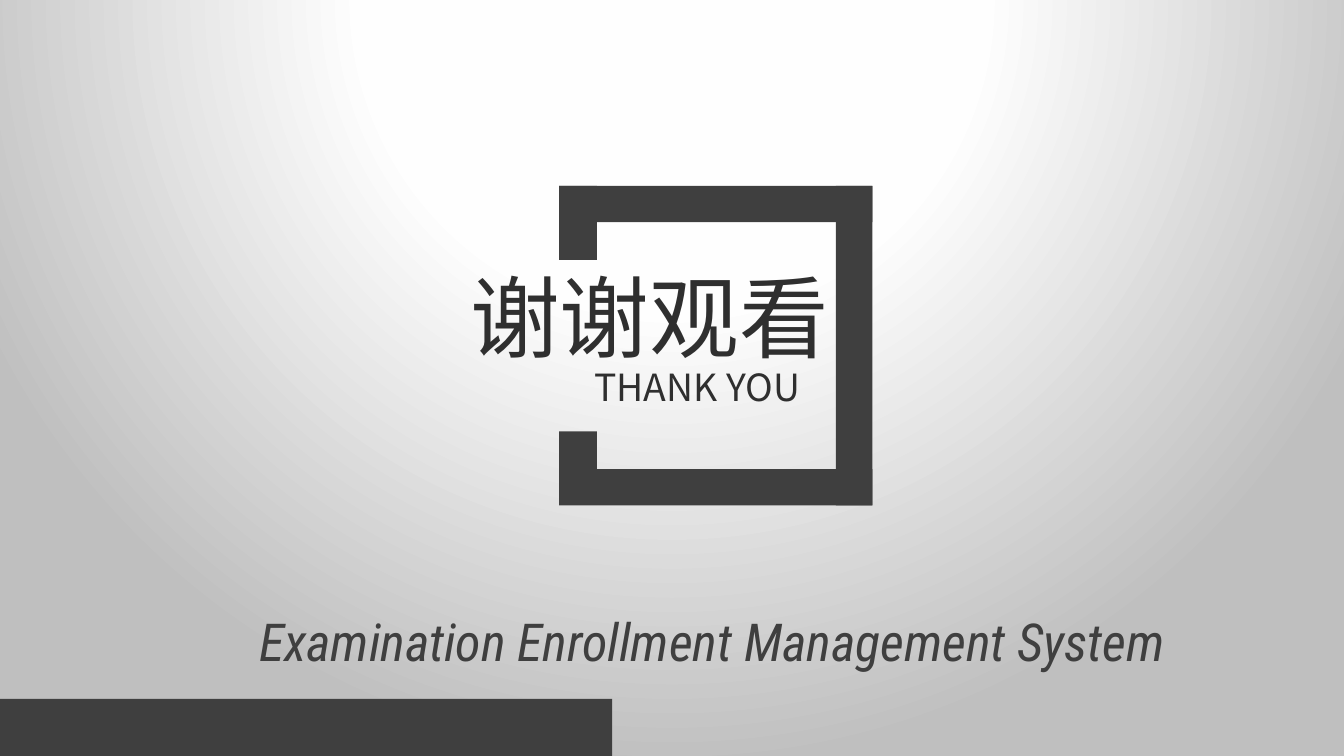
from lxml import etree
from pptx import Presentation
from pptx.dml.color import RGBColor
from pptx.enum.shapes import MSO_SHAPE as Shape
from pptx.enum.text import MSO_ANCHOR as Anchor, MSO_AUTO_SIZE as AutoSize, PP_ALIGN as Align
from pptx.oxml.ns import qn
from pptx.util import Cm, Pt

COLORS = {"bar": "3F3F3F", "thanks": "2F2F2F"}
GLOW = [(0, "FFFFFF"), (40, "FEFEFE"), (100, "BFBFBF")]
CJK_FONT = "Noto Sans CJK SC"
LATIN_FONT = "Roboto Condensed"


def set_glow(slide):
    """Circular gradient centred on the upper part of the slide."""
    fill = slide.background.fill
    fill.gradient()
    gradient = slide.background._cSld.find(".//" + qn("a:gradFill"))
    for child in list(gradient):
        gradient.remove(child)
    stops = etree.SubElement(gradient, qn("a:gsLst"))
    for percent, color in GLOW:
        stop = etree.SubElement(stops, qn("a:gs"), pos=str(percent * 1000))
        etree.SubElement(stop, qn("a:srgbClr"), val=color)
    circle = etree.SubElement(gradient, qn("a:path"), path="circle")
    etree.SubElement(circle, qn("a:fillToRect"),
                     l="50000", t="-80000", r="50000", b="180000")


def place(shape, left, top, width, height):
    shape.left, shape.top = Cm(left), Cm(top)
    shape.width, shape.height = Cm(width), Cm(height)


def add_bar(slide, left, top, width, height):
    bar = slide.shapes.add_shape(Shape.RECTANGLE, Cm(left), Cm(top), Cm(width), Cm(height))
    bar.shadow.inherit = False
    bar.fill.solid()
    bar.fill.fore_color.rgb = RGBColor.from_string(COLORS["bar"])
    bar.line.fill.background()


def write(shape, text, size, font, color, wrap=False, italic=False):
    frame = shape.text_frame
    frame.text = text
    frame.word_wrap = wrap
    frame.auto_size = AutoSize.NONE
    frame.vertical_anchor = Anchor.TOP
    frame.margin_left = frame.margin_right = frame.margin_top = frame.margin_bottom = 0
    line = frame.paragraphs[0]
    line.alignment = Align.LEFT
    line.space_before = Pt(0)
    run = line.runs[0]
    run.font.size = Pt(size)
    run.font.name = font
    run.font.italic = italic
    run.font.color.rgb = RGBColor.from_string(COLORS[color])
    # East Asian characters take their own typeface
    etree.SubElement(run.font._element, qn("a:ea"), typeface=font)


def add_frame(slide):
    """Square frame with an opening on its left side."""
    left, top, right, bottom, thick = 10.57, 3.51, 16.49, 9.55, 0.69
    for bar_top in (top, bottom - thick):
        add_bar(slide, left, bar_top, right - left, thick)
    add_bar(slide, right - thick, top, thick, bottom - top)
    add_bar(slide, left, top, 0.71, 1.4)
    add_bar(slide, left, 8.15, 0.71, 0.94)


def main():
    prs = Presentation()
    prs.slide_width, prs.slide_height = Cm(25.4), Cm(14.28)
    slide = prs.slides.add_slide(prs.slide_layouts[0])
    set_glow(slide)

    # Footer bar and system name
    add_bar(slide, -0.08, 13.2, 11.65, 1.15)
    system_name = slide.shapes.add_textbox(Cm(4.9), Cm(11.5), Cm(23.34), Cm(1.2))
    write(system_name, "Examination Enrollment Management System", 28,
          LATIN_FONT, "bar", wrap=True, italic=True)

    # Framed closing words
    add_frame(slide)
    thanks, thanks_english = slide.placeholders
    place(thanks, 8.89, 4.95, 6.83, 2.06)
    write(thanks, "谢谢观看", 48, CJK_FONT, "thanks")
    place(thanks_english, 11.23, 6.88, 4.24, 0.86)
    write(thanks_english, "THANK YOU", 20, CJK_FONT, "thanks")

    prs.save("out.pptx")


if __name__ == "__main__":
    main()
